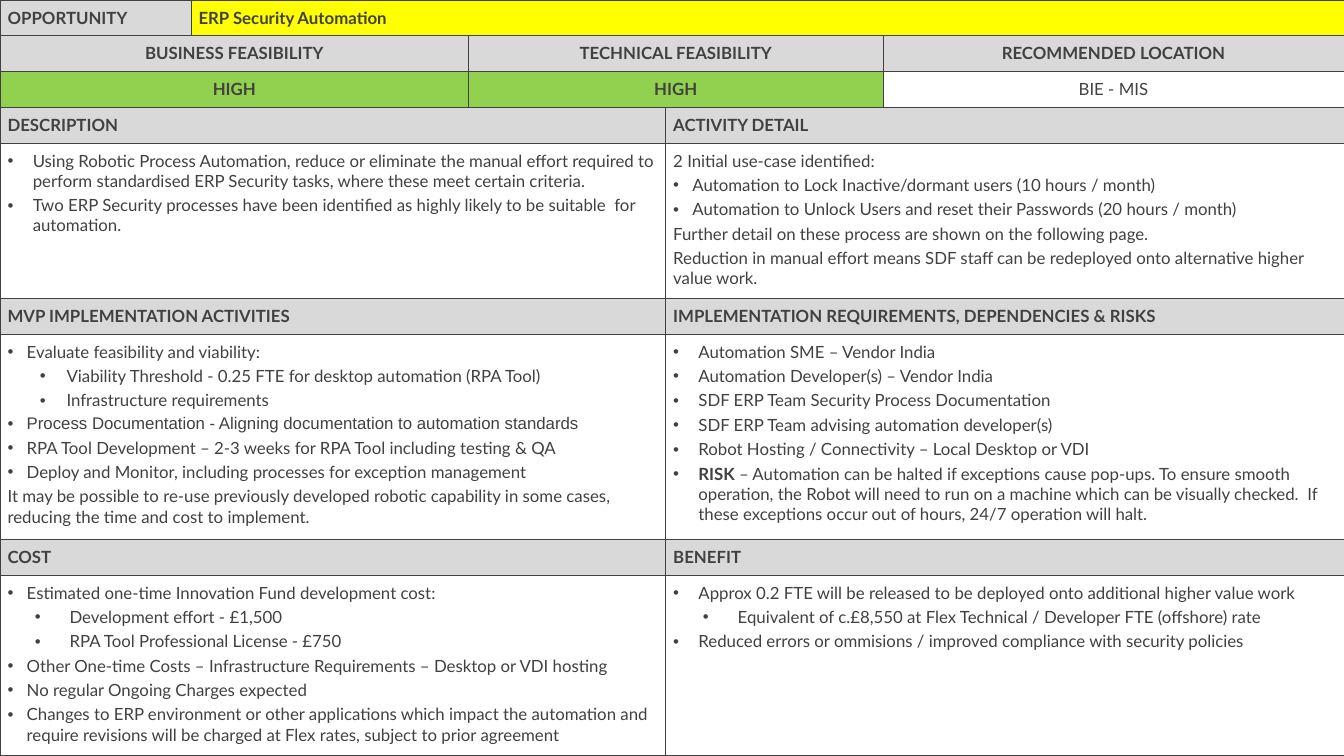
from lxml.etree import SubElement
from pptx import Presentation
from pptx.dml.color import RGBColor
from pptx.enum.text import PP_ALIGN
from pptx.oxml import parse_xml
from pptx.oxml.ns import nsdecls, qn
from pptx.util import Inches, Pt

COLORS = {"text": "414141", "heading": "D9D9D9", "opportunity": "FFFF00",
          "high": "92D050", "body": "FFFFFF"}
COLUMNS = [3.79, 5.51, 3.91, 4.31, 9.15]
HEADING = 0.71
ROWS = [HEADING] * 4 + [3.08, HEADING, 4.07, HEADING, 3.58]

# Paragraph kinds: level, left margin, first-line indent
KINDS = {
    "plain": (1, 0, 0),
    "bullet": (1, 0.38, -0.38),
    "wide": (1, 0.5, -0.5),
    "activity": (2, 1.17, -0.53),
    "cost": (3, 1.23, -0.69),
    "benefit": (2, 1.28, -0.69),
}

# Section pairs: heading and paragraphs on the left, then on the right
SECTIONS = [
    ("DESCRIPTION", [
        ("wide", "Using Robotic Process Automation, reduce or eliminate the manual effort required to "
                 "perform standardised ERP Security tasks, where these meet certain criteria."),
        ("wide", "Two ERP Security processes have been identified as highly likely to be suitable  for "
                 "automation."),
    ], "ACTIVITY DETAIL", [
        ("plain", "2 Initial use-case identified:"),
        ("bullet", "Automation to Lock Inactive/dormant users (10 hours / month)"),
        ("bullet", "Automation to Unlock Users and reset their Passwords (20 hours / month)"),
        ("plain", "Further detail on these process are shown on the following page."),
        ("plain", "Reduction in manual effort means SDF staff can be redeployed onto alternative higher "
                  "value work."),
    ]),
    ("MVP IMPLEMENTATION ACTIVITIES", [
        ("bullet", "Evaluate feasibility and viability:"),
        ("activity", "Viability Threshold - 0.25 FTE for desktop automation (RPA Tool)"),
        ("activity", "Infrastructure requirements"),
        ("bullet", "Process Documentation - Aligning documentation to automation standards",
         {"name": "Arial"}),
        ("bullet", "RPA Tool Development – 2-3 weeks for RPA Tool including testing & QA"),
        ("bullet", "Deploy and Monitor, including processes for exception management"),
        ("plain", "It may be possible to re-use previously developed robotic capability in some cases, "
                  "reducing the time and cost to implement."),
    ], "IMPLEMENTATION REQUIREMENTS, DEPENDENCIES & RISKS", [
        ("wide", "Automation SME – Vendor India"),
        ("wide", "Automation Developer(s) – Vendor India"),
        ("wide", "SDF ERP Team Security Process Documentation"),
        ("wide", "SDF ERP Team advising automation developer(s)"),
        ("wide", "Robot Hosting / Connectivity – Local Desktop or VDI"),
        ("wide", "RISK ", {"bold": True},
         "– Automation can be halted if exceptions cause pop-ups. To ensure smooth operation, the "
         "Robot will need to run on a machine which can be visually checked.  If these exceptions "
         "occur out of hours, 24/7 operation will halt.", {}),
    ]),
    ("COST", [
        ("bullet", "Estimated one-time Innovation Fund development cost:"),
        ("cost", "Development effort - £1,500"),
        ("cost", "RPA Tool Professional License - £750"),
        ("bullet", "Other One-time Costs – Infrastructure Requirements – Desktop or VDI hosting"),
        ("bullet", "No regular Ongoing Charges expected"),
        ("bullet", "Changes to ERP environment or other applications which impact the automation and "
                   "require revisions will be charged at Flex rates, subject to prior agreement"),
    ], "BENEFIT", [
        ("wide", "Approx 0.2 FTE will be released to be deployed onto additional higher value work"),
        ("benefit", "Equivalent of c.£8,550 at Flex Technical / Developer FTE (offshore) rate"),
        ("wide", "Reduced errors or ommisions / improved compliance with security policies"),
    ]),
]


class OpportunitySheet:
    """Holds the text style and the slide being filled."""

    font = {"name": "Lato", "size": Pt(24), "bold": False}
    inset = Inches(0.15)

    def __init__(self, slide):
        self.slide = slide

    def grid(self, columns, rows):
        frame = self.slide.shapes.add_table(len(rows), len(columns), 0, 0,
                                            Inches(sum(columns)), Inches(sum(rows)))
        self.table = frame.table
        for flag, value in {"first_row": False, "horz_banding": False}.items():
            setattr(self.table, flag, value)
        for column, width in zip(self.table.columns, columns):
            column.width = Inches(width)
        for row, height in zip(self.table.rows, rows):
            row.height = Inches(height)

    def cell(self, row, first, last, fill, paragraphs, align=PP_ALIGN.LEFT, **look):
        """Fill the cells first to last of a row as one merged cell."""
        for column in range(first, last + 1):
            part = self.table.cell(row, column)
            part.fill.solid()
            part.fill.fore_color.rgb = RGBColor.from_string(COLORS[fill])
            self.borders(part)
        cell = self.table.cell(row, first)
        if last > first:
            cell.merge(self.table.cell(row, last))
        for side in ("left", "top", "right", "bottom"):
            setattr(cell, f"margin_{side}", self.inset)
        for number, (kind, *runs) in enumerate(paragraphs):
            frame = cell.text_frame
            paragraph = frame.add_paragraph() if number else frame.paragraphs[0]
            self.paragraph(paragraph, kind, align)
            looks = runs[1::2] or [{}]
            for text, own in zip(runs[::2], looks):
                self.run(paragraph, text, {**look, **own})

    def paragraph(self, paragraph, kind, align):
        level, margin, indent = KINDS[kind]
        for name, value in {"level": level, "alignment": align, "space_before": Pt(6)}.items():
            setattr(paragraph, name, value)
        properties = paragraph._p.get_or_add_pPr()
        properties.set("marL", str(Inches(margin)))
        properties.set("indent", str(Inches(indent)))
        if indent:
            SubElement(properties, qn("a:buFont"), typeface="Arial")
            SubElement(properties, qn("a:buChar"), char="•")
        else:
            SubElement(properties, qn("a:buNone"))

    def run(self, paragraph, text, look):
        run = paragraph.add_run()
        run.text = text
        for name, value in {**self.font, **look}.items():
            setattr(run.font, name, value)
        run.font.color.rgb = RGBColor.from_string(COLORS["text"])

    def borders(self, cell):
        properties = cell._tc.get_or_add_tcPr()
        for place, side in enumerate("LRTB"):
            properties.insert(place, parse_xml(
                f'<a:ln{side} {nsdecls("a")} w="{Pt(1)}"><a:solidFill>'
                f'<a:srgbClr val="{COLORS["text"]}"/></a:solidFill></a:ln{side}>'))

    def heading(self, row, first, last, text, fill="heading", **options):
        self.cell(row, first, last, fill, [("plain", text)], **{"bold": True, **options})


def main():
    deck = Presentation()
    deck.slide_width, deck.slide_height = Inches(26.67), Inches(15)
    sheet = OpportunitySheet(deck.slides.add_slide(deck.slide_layouts[6]))
    sheet.grid(COLUMNS, ROWS)

    # Opportunity
    sheet.heading(0, 0, 0, "OPPORTUNITY")
    sheet.heading(0, 1, 4, "ERP Security Automation", "opportunity")

    # Feasibility and location
    for first, last, label, rating, fill in [
        (0, 1, "BUSINESS FEASIBILITY", "HIGH", "high"),
        (2, 3, "TECHNICAL FEASIBILITY", "HIGH", "high"),
        (4, 4, "RECOMMENDED LOCATION", "BIE - MIS", "body"),
    ]:
        sheet.heading(1, first, last, label, align=PP_ALIGN.CENTER)
        sheet.heading(2, first, last, rating, fill, align=PP_ALIGN.CENTER, bold=fill == "high")

    # Paired sections
    for number, (left_title, left_body, right_title, right_body) in enumerate(SECTIONS):
        row = 3 + 2 * number
        for first, last, title, body in [(0, 2, left_title, left_body),
                                         (3, 4, right_title, right_body)]:
            sheet.heading(row, first, last, title)
            sheet.cell(row + 1, first, last, "body", body)

    deck.save("out.pptx")


if __name__ == "__main__":
    main()
